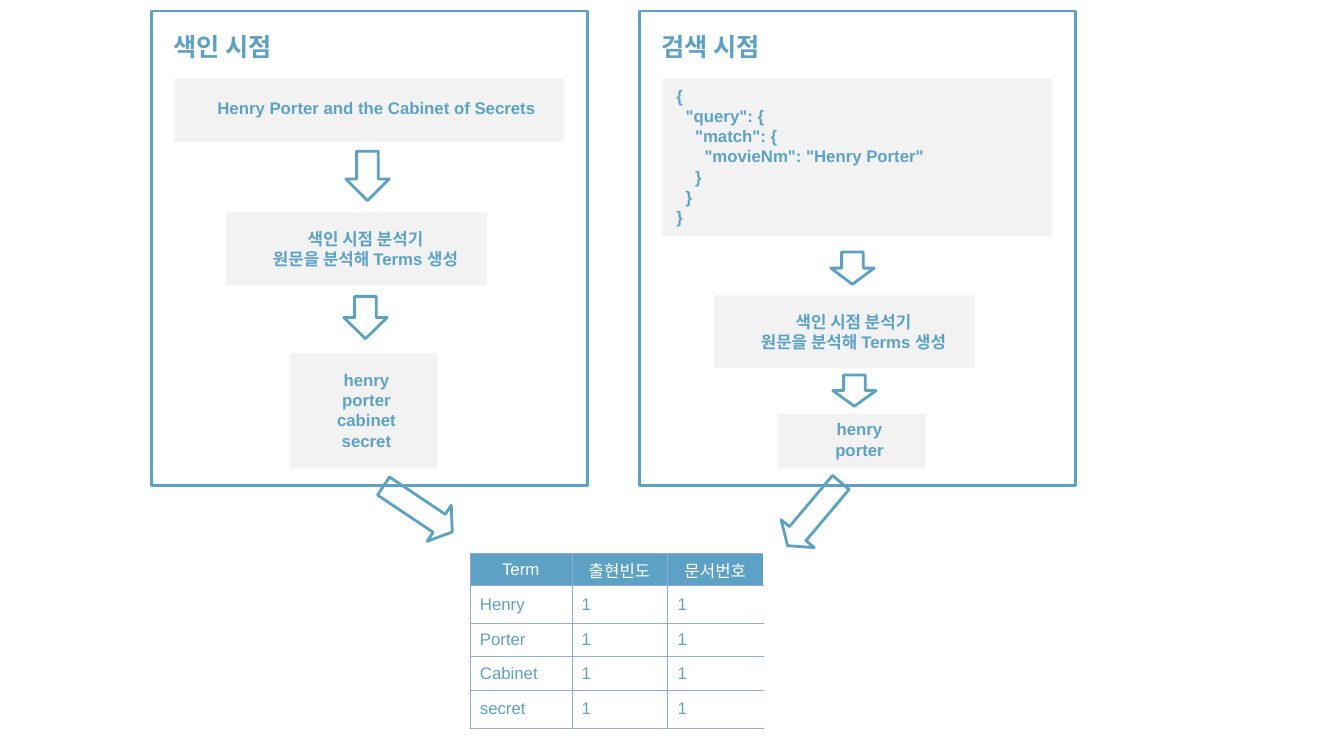
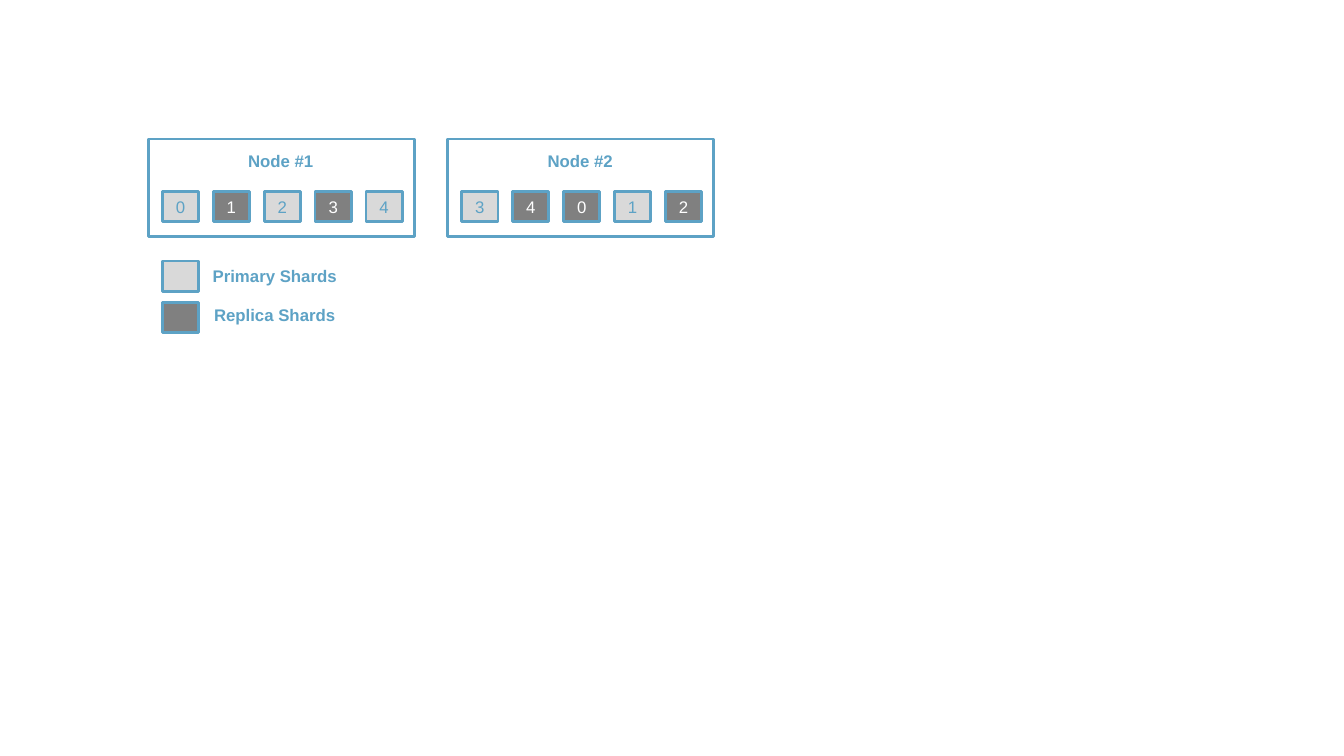
from dataclasses import dataclass
from typing import Optional

from lxml.etree import SubElement
from pptx import Presentation
from pptx.dml.color import RGBColor
from pptx.enum.shapes import MSO_SHAPE
from pptx.enum.text import MSO_ANCHOR, MSO_AUTO_SIZE, PP_ALIGN
from pptx.oxml.ns import qn
from pptx.shapes.autoshape import Shape
from pptx.slide import Slide
from pptx.table import _Cell
from pptx.text.text import TextFrame
from pptx.util import Inches, Pt

FONT = "Arial"
BLUE = "5DA2C5"
HEADER_BLUE = "5DA2C4"
CELL_BLUE = "5EA2C4"
BORDER_BLUE = "8FAADC"
PALE = "F2F2F2"
PRIMARY = "D9D9D9"
REPLICA = "808080"
WHITE = "FFFFFF"

PANEL_LEFT = 1.5
PANEL_PITCH = 4.84
LABEL_WIDTH = 3.71
ARROW_WIDTH = 0.43
INDENT_STEP = 0.093
NODE_LEFT = 1.47
NODE_PITCH = 2.97
SHARD_INSET = 0.14
SHARD_PITCH = 0.505
SHARD_TOP = 1.9
SHARD_SIZE = (0.36, 0.3)


@dataclass(frozen=True)
class Box:
    left: float
    top: float
    width: float
    height: float


@dataclass(frozen=True)
class Step:
    plate: Box
    label_left: float
    label_top: float
    label_height: float
    lines: tuple[str, ...]
    indents: tuple[int, ...] = ()


@dataclass(frozen=True)
class Arrow:
    left: float
    top: float
    height: float
    rotation: float = 0
    head: float = 0.5


@dataclass(frozen=True)
class Stage:
    title: str
    steps: tuple[Step, ...]
    arrows: tuple[Arrow, ...]


@dataclass(frozen=True)
class Node:
    title: str
    shards: tuple[int, ...]
    replicas: frozenset[int]


def analyzer(left: float, top: float) -> Step:
    return Step(Box(left, top, 2.59, 0.72), left - 0.47, top + 0.11, 0.5,
                ("색인 시점 분석기", "원문을 분석해 Terms 생성"))


STAGES = (
    Stage("색인 시점", (
        Step(Box(1.73, 0.78, 3.86, 0.63), 1.88, 0.92, 0.3,
             ("Henry Porter and the Cabinet of Secrets",)),
        analyzer(2.24, 2.11),
        Step(Box(2.88, 3.5, 1.46, 1.15), 1.78, 3.62, 0.91,
             ("henry", "porter", "cabinet", "secret")),
    ), (Arrow(3.43, 1.5, 0.49), Arrow(3.41, 2.94, 0.42))),
    Stage("검색 시점", (
        Step(Box(6.57, 0.78, 3.86, 1.56), 6.61, 0.8, 1.51,
             ("{", '"query": {', '"match": {', '"movieNm": "Henry Porter"', "}", "}", "}"),
             (0, 1, 2, 3, 2, 1, 0)),
        analyzer(7.08, 2.93),
        Step(Box(7.72, 4.11, 1.46, 0.54), 6.67, 4.11, 0.5, ("henry", "porter")),
    ), (Arrow(8.24, 2.5, 0.32), Arrow(8.26, 3.72, 0.31))),
)
INDEX_ARROWS = (Arrow(3.93, 4.64, 0.82, 303.8, 0.362), Arrow(7.86, 4.69, 0.82, 40.1, 0.362))
INDEX_HEADER = ("Term", "출현빈도", "문서번호")
INDEX_TERMS = ("Henry", "Porter", "Cabinet", "secret")
INDEX_COLUMNS = (1.01, 0.95, 0.95)
INDEX_ROWS = (0.32, 0.37, 0.33, 0.34, 0.37)

NODES = (
    Node("Node #1", (0, 1, 2, 3, 4), frozenset({1, 3})),
    Node("Node #2", (3, 4, 0, 1, 2), frozenset({4, 0, 2})),
)
LEGEND = (
    ("Primary Shards", PRIMARY, 2.59, 2.59),
    ("Replica Shards", REPLICA, 3.0, 2.97),
)


def rgb(value: str) -> RGBColor:
    return RGBColor.from_string(value)


def style_text(frame: TextFrame, color: str, size: float = 12, bold: bool = False,
               align: PP_ALIGN = PP_ALIGN.CENTER) -> None:
    for paragraph in frame.paragraphs:
        paragraph.alignment = align
        for run in paragraph.runs:
            run.font.name = FONT
            run.font.size = Pt(size)
            run.font.bold = bold
            run.font.color.rgb = rgb(color)


def add_outline(slide: Slide, box: Box, fill: Optional[str] = None, line: Optional[str] = BLUE,
                preset: MSO_SHAPE = MSO_SHAPE.RECTANGLE) -> Shape:
    shape = slide.shapes.add_shape(preset, Inches(box.left), Inches(box.top),
                                   Inches(box.width), Inches(box.height))
    shape.shadow.inherit = False
    if fill:
        shape.fill.solid()
        shape.fill.fore_color.rgb = rgb(fill)
    else:
        shape.fill.background()
    if line:
        shape.line.color.rgb = rgb(line)
        shape.line.width = Pt(2)
    else:
        shape.line.fill.background()
    return shape


def add_label(slide: Slide, box: Box, text: str, size: float = 12,
              align: PP_ALIGN = PP_ALIGN.CENTER) -> TextFrame:
    label = slide.shapes.add_textbox(Inches(box.left), Inches(box.top),
                                     Inches(box.width), Inches(box.height))
    frame = label.text_frame
    frame.word_wrap = True
    frame.auto_size = MSO_AUTO_SIZE.SHAPE_TO_FIT_TEXT
    frame.text = text
    style_text(frame, BLUE, size, True, align)
    return frame


def add_step(slide: Slide, step: Step) -> None:
    add_outline(slide, step.plate, PALE, None)
    align = PP_ALIGN.LEFT if step.indents else PP_ALIGN.CENTER
    frame = add_label(slide, Box(step.label_left, step.label_top, LABEL_WIDTH, step.label_height),
                      "\n".join(step.lines), align=align)
    for paragraph, level in zip(frame.paragraphs, step.indents):
        paragraph._p.get_or_add_pPr().set("marL", str(Inches(level * INDENT_STEP)))


def add_arrow(slide: Slide, arrow: Arrow) -> None:
    shape = add_outline(slide, Box(arrow.left, arrow.top, ARROW_WIDTH, arrow.height),
                        preset=MSO_SHAPE.DOWN_ARROW)
    shape.adjustments[1] = arrow.head
    shape.rotation = arrow.rotation


def add_stage(slide: Slide, stage: Stage, left: float) -> None:
    add_outline(slide, Box(left, 0.11, 4.33, 4.71))
    add_label(slide, Box(left + 0.12, 0.26, 2, 0.4), stage.title, 18, PP_ALIGN.LEFT)
    for step in stage.steps:
        add_step(slide, step)
    for arrow in stage.arrows:
        add_arrow(slide, arrow)


def set_borders(cell: _Cell, sides: str) -> None:
    properties = cell._tc.get_or_add_tcPr()
    for position, side in enumerate(sides):
        border = SubElement(properties, qn(f"a:ln{side}"), w=str(Pt(0.25)))
        fill = SubElement(border, qn("a:solidFill"))
        SubElement(fill, qn("a:srgbClr"), val=BORDER_BLUE)
        properties.insert(position, border)


def add_index_table(slide: Slide) -> None:
    rows = (INDEX_HEADER, *((term, "1", "1") for term in INDEX_TERMS))
    table = slide.shapes.add_table(len(rows), len(INDEX_COLUMNS), Inches(4.66), Inches(5.49),
                                   Inches(sum(INDEX_COLUMNS)), Inches(sum(INDEX_ROWS))).table
    table.horz_banding = False
    for column, width in zip(table.columns, INDEX_COLUMNS):
        column.width = Inches(width)
    for row, height in zip(table.rows, INDEX_ROWS):
        row.height = Inches(height)
    for row_number, values in enumerate(rows):
        header = row_number == 0
        for column_number, value in enumerate(values):
            cell = table.cell(row_number, column_number)
            cell.text_frame.text = value
            cell.vertical_anchor = MSO_ANCHOR.MIDDLE
            style_text(cell.text_frame, WHITE if header else CELL_BLUE,
                       align=PP_ALIGN.CENTER if header else PP_ALIGN.LEFT)
            cell.fill.solid()
            cell.fill.fore_color.rgb = rgb(HEADER_BLUE if header else WHITE)
            set_borders(cell, "LTB" if column_number == len(values) - 1 else "LRTB")


def add_node(slide: Slide, node: Node, left: float) -> None:
    add_outline(slide, Box(left, 1.38, 2.64, 0.97))
    add_label(slide, Box(left + 0.81, 1.45, 1.01, 0.3), node.title)
    for position, shard in enumerate(node.shards):
        replica = shard in node.replicas
        shard_left = left + SHARD_INSET + position * SHARD_PITCH
        tile = add_outline(slide, Box(shard_left, SHARD_TOP, *SHARD_SIZE),
                           REPLICA if replica else PRIMARY)
        tile.text_frame.text = str(shard)
        tile.text_frame.vertical_anchor = MSO_ANCHOR.MIDDLE
        style_text(tile.text_frame, WHITE if replica else BLUE)


def build_search_slide(slide: Slide) -> None:
    for position, stage in enumerate(STAGES):
        add_stage(slide, stage, PANEL_LEFT + position * PANEL_PITCH)
    add_index_table(slide)
    for arrow in INDEX_ARROWS:
        add_arrow(slide, arrow)


def build_shard_slide(slide: Slide) -> None:
    for position, node in enumerate(NODES):
        add_node(slide, node, NODE_LEFT + position * NODE_PITCH)
    for name, color, swatch_top, label_top in LEGEND:
        add_outline(slide, Box(NODE_LEFT + SHARD_INSET, swatch_top, *SHARD_SIZE), color)
        add_label(slide, Box(1.97, label_top, 1.51, 0.3), name)


def main() -> None:
    deck = Presentation()
    deck.slide_width = Inches(13.33)
    deck.slide_height = Inches(7.5)
    blank = deck.slide_layouts[6]
    for build in (build_search_slide, build_shard_slide):
        build(deck.slides.add_slide(blank))
    deck.save("out.pptx")


main()
